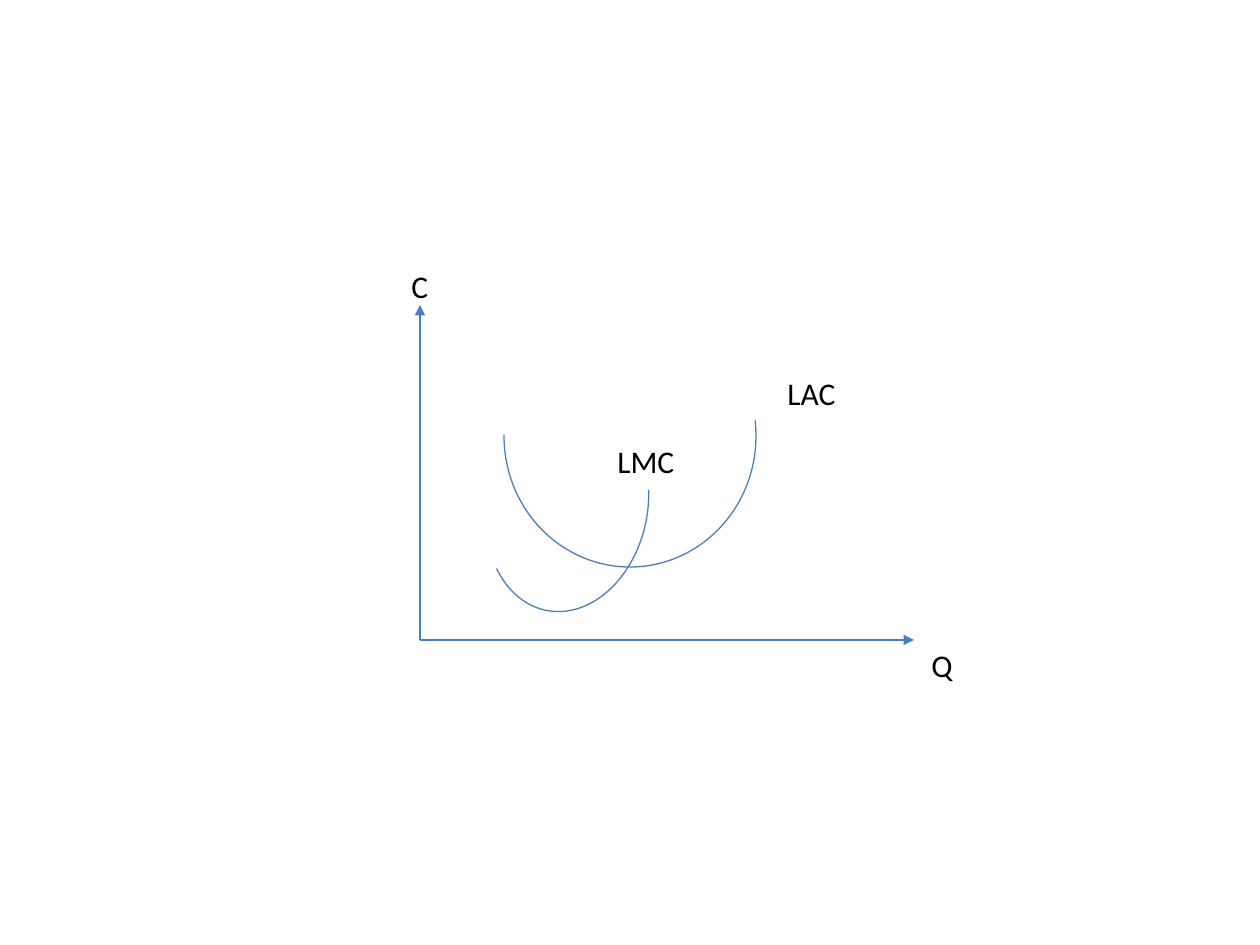
import pptx
import pptx.dml.color
import pptx.enum.shapes
import pptx.enum.text
import pptx.oxml.ns
import pptx.util
from lxml import etree

EMU_PER_PX = 914400 / 126
CURVE_COLOR = "4B7EBC"
LINE_WIDTH = 0.75


def px(length):
    return pptx.util.Emu(round(length * EMU_PER_PX))


def color(value):
    return pptx.dml.color.RGBColor.from_string(value)


def style_line(shape):
    shape.line.color.rgb = color(CURVE_COLOR)
    shape.line.width = pptx.util.Pt(LINE_WIDTH)


def add_axis(slide, start, end):
    """Draw a straight axis with an arrowhead at its end."""
    axis = slide.shapes.add_connector(
        pptx.enum.shapes.MSO_CONNECTOR.STRAIGHT,
        *(px(length) for length in (*start, *end)))
    style_line(axis)
    qn = pptx.oxml.ns.qn
    etree.SubElement(axis.line._get_or_add_ln(), qn("a:tailEnd"), type="triangle")
    etree.SubElement(axis._element.spPr, qn("a:effectLst"))


def add_curve(slide, left, top, width, height, rotation, adjustments):
    """Draw a cost curve as a rotated, unfilled arc."""
    curve = slide.shapes.add_shape(
        pptx.enum.shapes.MSO_SHAPE.ARC, px(left), px(top), px(width), px(height))
    for index, value in enumerate(adjustments):
        curve.adjustments[index] = value
    curve.rotation = rotation
    curve.fill.background()
    curve.shadow.inherit = False
    style_line(curve)


def add_text(slide, text, left, top, width=84, height=50, size=18,
             font="Calibri", fill="000000"):
    box = slide.shapes.add_textbox(px(left), px(top), px(width), px(height))
    frame = box.text_frame
    frame.word_wrap = True
    frame.auto_size = pptx.enum.text.MSO_AUTO_SIZE.SHAPE_TO_FIT_TEXT
    run = frame.paragraphs[0].add_run()
    run.text = text
    run.font.size = pptx.util.Pt(size)
    run.font.name = font
    run.font.color.rgb = color(fill)


def main():
    presentation = pptx.Presentation()
    presentation.slide_width = px(1260)
    presentation.slide_height = px(945)
    slide = presentation.slides.add_slide(presentation.slide_layouts[6])

    # Cost and quantity axes
    origin = (420, 640)
    add_axis(slide, origin, (420, 305))
    add_axis(slide, origin, (914, 640))

    # Long-run average and marginal cost curves
    add_curve(slide, 504, 305, 252, 262, 180, (103.74, 0.38))
    add_curve(slide, 460, 425, 214, 161, 101, (148.89, 22.31))

    # Curve and axis labels
    add_text(slide, "LMC", 605, 436)
    add_text(slide, "LAC", 775, 368)
    add_text(slide, "C", 399, 261)
    add_text(slide, "Q", 919, 640, width=58)

    presentation.save("out.pptx")


if __name__ == "__main__":
    main()
